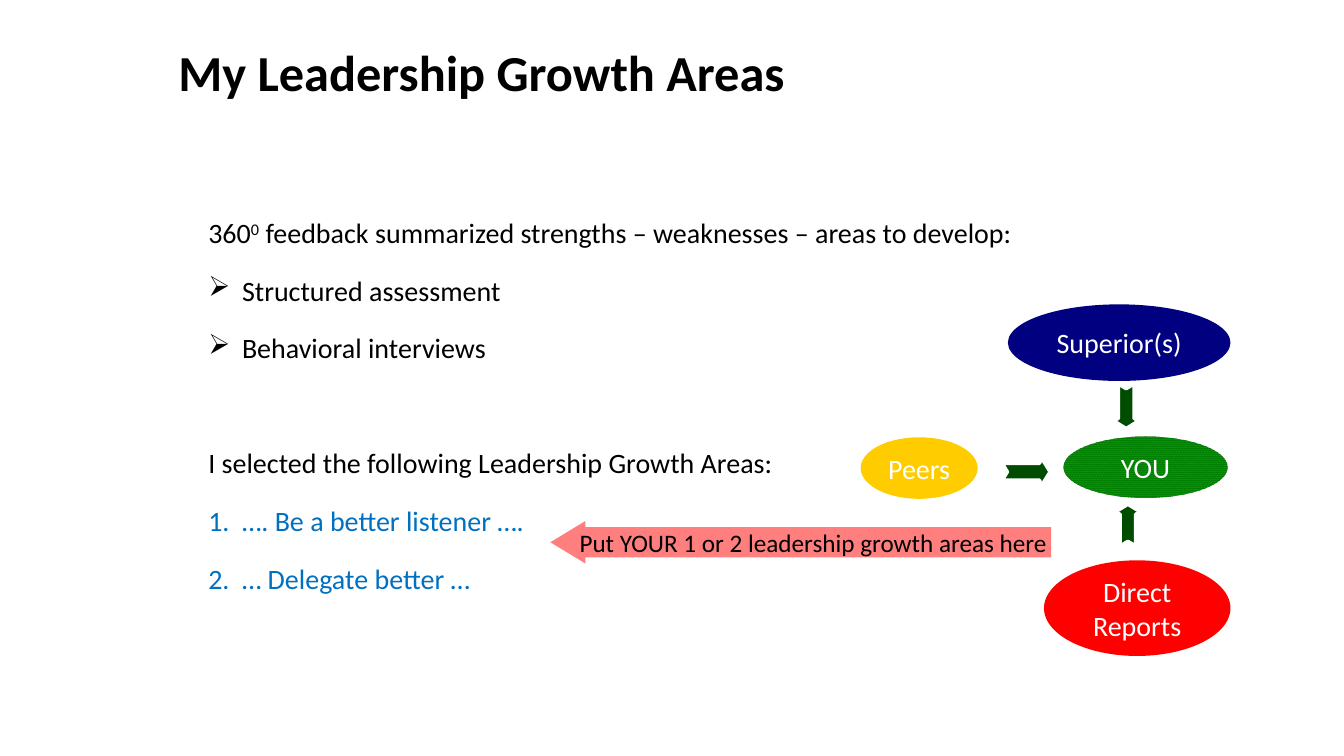
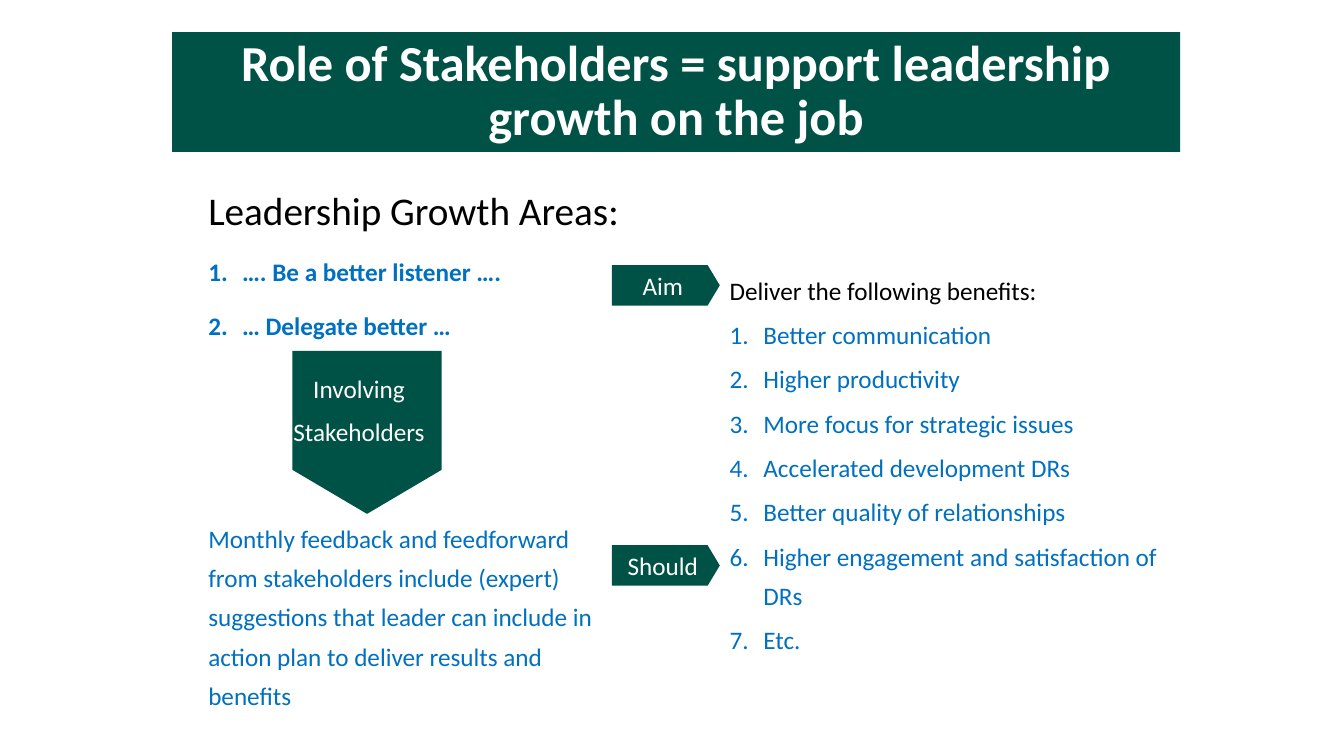
"""Build two slides on leadership growth areas and the role of stakeholders."""
from typing import NamedTuple

from lxml import etree
from pptx import Presentation
from pptx.dml.color import RGBColor
from pptx.enum.dml import MSO_PATTERN
from pptx.enum.shapes import MSO_SHAPE
from pptx.enum.text import MSO_ANCHOR, PP_ALIGN
from pptx.oxml.ns import qn
from pptx.util import Cm, Pt

BLACK = RGBColor(0x00, 0x00, 0x00)
WHITE = RGBColor(0xFF, 0xFF, 0xFF)
BLUE = RGBColor(0x00, 0x70, 0xC0)
TEAL = RGBColor(0x00, 0x52, 0x46)
RED = RGBColor(0xFF, 0x00, 0x00)
NAVY = RGBColor(0x00, 0x00, 0x80)
YELLOW = RGBColor(0xFF, 0xCC, 0x00)
GREEN = RGBColor(0x00, 0x80, 0x00)
DARK_GREEN = RGBColor(0x00, 0x4C, 0x00)
GRAY = RGBColor(0x5F, 0x5F, 0x5F)

ELLIPSE = MSO_SHAPE.OVAL
LEFT_ARROW = MSO_SHAPE.LEFT_ARROW
NOTCHED_ARROW = MSO_SHAPE.NOTCHED_RIGHT_ARROW
TAG = MSO_SHAPE.PENTAGON
DOTTED = MSO_PATTERN.PERCENT_90
LEFT, CENTER = PP_ALIGN.LEFT, PP_ALIGN.CENTER
TOP, MIDDLE = MSO_ANCHOR.TOP, MSO_ANCHOR.MIDDLE

TITLE_ONLY = 5
NUMBER = "1."
ARROWHEAD = "➢"
TEXT_LEFT = 5
GOALS = ("…. Be a better listener ….", "… Delegate better …")
BENEFITS = (
    "Better communication",
    "Higher productivity",
    "More focus for strategic issues",
    "Accelerated development DRs",
    "Better quality of relationships",
    "Higher engagement and satisfaction of DRs",
    "Etc.",
)


class Line(NamedTuple):
    """One paragraph; text between carets is raised."""

    text: str
    size: float = 20
    color: RGBColor = BLACK
    bold: bool = False
    bullet: str = ""
    before: float = 10


class Deck:
    """Holds the shared style and the current slide."""

    font = "Calibri"
    hanging = Cm(0.85)

    def __init__(self):
        self.presentation = Presentation()
        self.presentation.slide_width = Cm(33.87)
        self.presentation.slide_height = Cm(19.05)
        self.slide = None

    def style(self, font, size, color, bold=False):
        """Apply the deck font with a size, colour and weight."""
        font.name = self.font
        font.size = Pt(size)
        font.bold = bold
        font.color.rgb = color

    def add_slide(self, title, box, color=BLACK, align=LEFT, band=None):
        """Start a slide and place its title, on a band if one is given."""
        layout = self.presentation.slide_layouts[TITLE_ONLY]
        self.slide = self.presentation.slides.add_slide(layout)
        heading = self.slide.shapes.title
        heading.left, heading.top, heading.width, heading.height = map(Cm, box)
        if band is not None:
            heading.fill.solid()
            heading.fill.fore_color.rgb = band
        frame = heading.text_frame
        frame.text = title
        frame.word_wrap = True
        frame.vertical_anchor = MIDDLE
        paragraph = frame.paragraphs[0]
        paragraph.alignment = align
        paragraph.line_spacing = 0.9
        self.style(paragraph.runs[0].font, 36, color, True)

    def add_bullet(self, paragraph, bullet):
        """Give a paragraph a hanging number or symbol."""
        properties = paragraph._p.get_or_add_pPr()
        properties.set("marL", str(self.hanging))
        properties.set("indent", str(-self.hanging))
        if bullet == NUMBER:
            etree.SubElement(properties, qn("a:buAutoNum"), type="arabicPeriod")
        else:
            etree.SubElement(properties, qn("a:buChar"), char=bullet)

    def add_text(self, box, lines):
        """Add a text box with one paragraph for each line."""
        frame = self.slide.shapes.add_textbox(*map(Cm, box)).text_frame
        frame.word_wrap = True
        frame.vertical_anchor = TOP
        for index, line in enumerate(lines):
            paragraph = frame.add_paragraph() if index else frame.paragraphs[0]
            if line.bullet:
                self.add_bullet(paragraph, line.bullet)
            paragraph.line_spacing = 1.3
            if index:
                paragraph.space_before = Pt(line.before)
            for part, text in enumerate(line.text.split("^")):
                run = paragraph.add_run()
                run.text = text
                self.style(run.font, line.size, line.color, line.bold)
                if part % 2:
                    run._r.get_or_add_rPr().set("baseline", "30000")

    def finish(self, shape, fill, text="", size=18, color=WHITE):
        """Give a shape its fill and centred label, without line or shadow."""
        shape.shadow.inherit = False
        shape.fill.solid()
        shape.fill.fore_color.rgb = fill
        shape.line.fill.background()
        if not text:
            return
        frame = shape.text_frame
        frame.text = text
        frame.word_wrap = True
        frame.vertical_anchor = MIDDLE
        frame.margin_left = frame.margin_right = 0
        frame.margin_top = frame.margin_bottom = 0
        for index, paragraph in enumerate(frame.paragraphs):
            paragraph.alignment = CENTER
            if index:
                paragraph.space_before = Pt(size / 2)
            self.style(paragraph.runs[0].font, size, color)

    def add_shape(self, kind, box, fill, text="", size=18, color=WHITE, adjust=()):
        """Add a preset shape with an optional label."""
        shape = self.slide.shapes.add_shape(kind, *map(Cm, box))
        for index, value in enumerate(adjust):
            shape.adjustments[index] = value
        self.finish(shape, fill, text, size, color)
        return shape

    def add_flow_arrow(self, box, rotation):
        """Add a notched arrow edged in white."""
        arrow = self.add_shape(NOTCHED_ARROW, box, DARK_GREEN, adjust=(0.5, 0.31))
        arrow.rotation = rotation
        arrow.line.color.rgb = WHITE
        arrow.line.width = Pt(2.75)

    def add_down_pointer(self, box, head, fill, text):
        """Add a block that ends in a point at the bottom."""
        left, top, width, height = box
        right, shoulder = left + width, top + height - head
        corners = [
            (right, top),
            (right, shoulder),
            (left + width / 2, top + height),
            (left, shoulder),
        ]
        outline = self.slide.shapes.build_freeform(Cm(left), Cm(top))
        outline.add_line_segments([(Cm(x), Cm(y)) for x, y in corners], close=True)
        pointer = outline.convert_to_shape()
        self.finish(pointer, fill, text)
        pointer.text_frame.margin_bottom = Cm(head)
        pointer.text_frame.margin_right = Cm(0.4)


def make_transparent(shape, percent):
    """Set the transparency of a solid fill."""
    tint = shape._element.spPr.find(qn("a:solidFill"))[0]
    etree.SubElement(tint, qn("a:alpha"), val=str((100 - percent) * 1000))


def add_growth_areas(deck):
    """Build the slide with feedback sources and chosen areas."""
    deck.add_slide("My Leadership Growth Areas", (4.24, 1.27, 25.4, 1.27))
    deck.add_text(
        (TEXT_LEFT, 5.05, 24.64, 10.2),
        [
            Line("360^0^ feedback summarized strengths – weaknesses – areas to develop:"),
            Line("Structured assessment", bullet=ARROWHEAD),
            Line("Behavioral interviews", bullet=ARROWHEAD),
            Line("I selected the following Leadership Growth Areas:", before=51),
            *(Line(goal, color=BLUE, bullet=NUMBER) for goal in GOALS),
        ],
    )
    hint = deck.add_shape(
        LEFT_ARROW, (13.87, 13.13, 12.62, 1.07), RED,
        "Put YOUR 1 or 2 leadership growth areas here",
        color=BLACK, adjust=(0.715, 0.825),
    )
    make_transparent(hint, 50)

    you = deck.add_shape(ELLIPSE, (26.8, 11, 4.14, 1.55), GREEN, "YOU", 20)
    you.fill.patterned()
    you.fill.pattern = DOTTED
    you.fill.fore_color.rgb = GREEN
    you.fill.back_color.rgb = GRAY
    for rater, box, fill in (
        ("Peers", (21.69, 11.02, 2.95, 1.55), YELLOW),
        ("Direct Reports", (26.31, 14.12, 4.7, 2.41), RED),
        ("Superior(s)", (25.4, 7.67, 5.61, 1.93), NAVY),
    ):
        deck.add_shape(ELLIPSE, box, fill, rater, 20)
    for box, rotation in (
        ((27.81, 9.83, 1.14, 0.81), 90),
        ((27.89, 12.83, 1.07, 0.81), 270),
        ((25.25, 11.46, 1.22, 0.86), 0),
    ):
        deck.add_flow_arrow(box, rotation)


def add_stakeholders(deck):
    """Build the slide on what stakeholders contribute."""
    deck.add_slide(
        "Role of Stakeholders = support leadership growth on the job",
        (4.34, 0.81, 25.4, 3.02), WHITE, CENTER, TEAL,
    )
    deck.add_text(
        (TEXT_LEFT, 4.22, 12, 4.6),
        [
            Line("Leadership Growth Areas:", 28),
            *(Line(goal, 18, BLUE, True, NUMBER) for goal in GOALS),
        ],
    )
    deck.add_text(
        (18.14, 6.58, 11.61, 11.4),
        [
            Line("Deliver the following benefits:", 18),
            *(Line(gain, 18, BLUE, bullet=NUMBER, before=3.6) for gain in BENEFITS),
        ],
    )
    deck.add_text(
        (TEXT_LEFT, 12.83, 10.41, 5.26),
        [
            Line(
                "Monthly feedback and feedforward from stakeholders include (expert) "
                "suggestions that leader can include in action plan to deliver "
                "results and benefits", 18, BLUE,
            )
        ],
    )
    deck.add_down_pointer(
        (7.37, 8.84, 3.76, 4.11), 1.11, TEAL, "Involving\nStakeholders"
    )
    for label, top in (("Aim", 6.68), ("Should", 13.74)):
        deck.add_shape(TAG, (15.42, top, 2.72, 1.02), TEAL, label, adjust=(0.3,))


def main():
    """Build and save the deck."""
    deck = Deck()
    add_growth_areas(deck)
    add_stakeholders(deck)
    deck.presentation.save("out.pptx")


if __name__ == "__main__":
    main()
